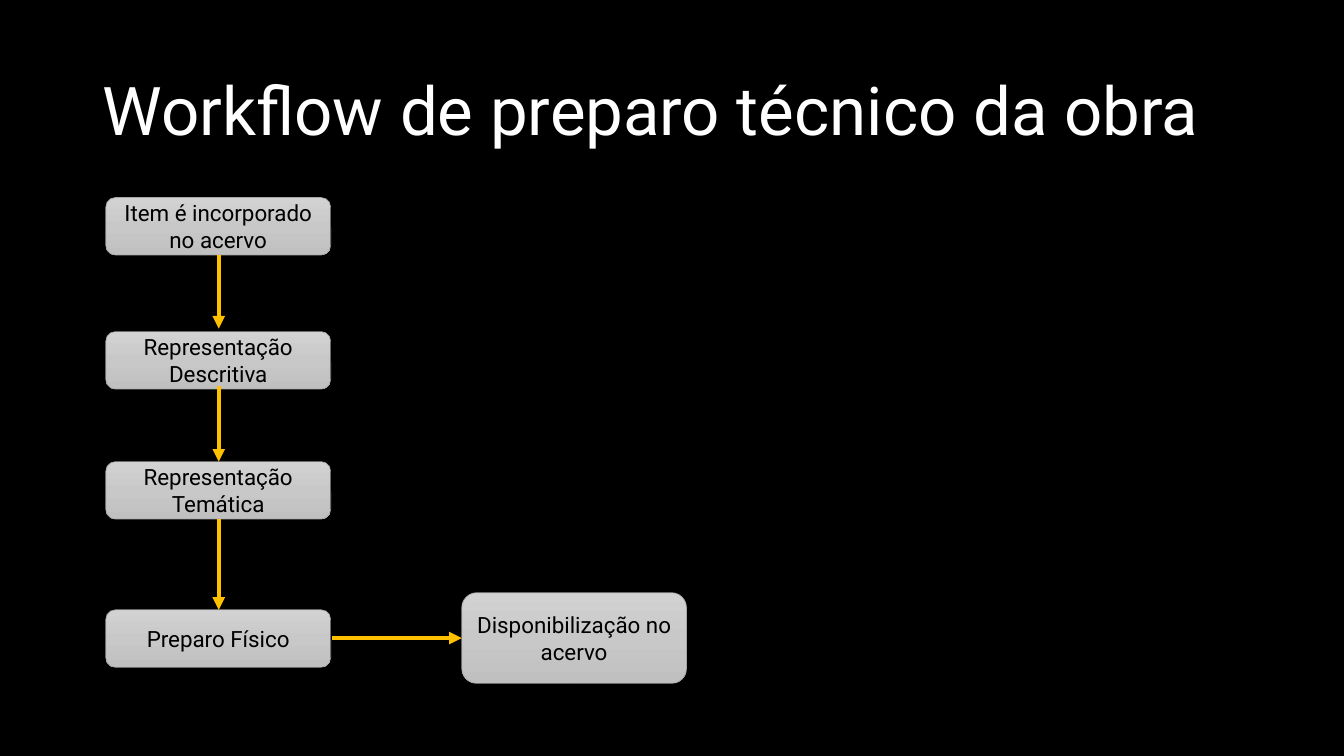
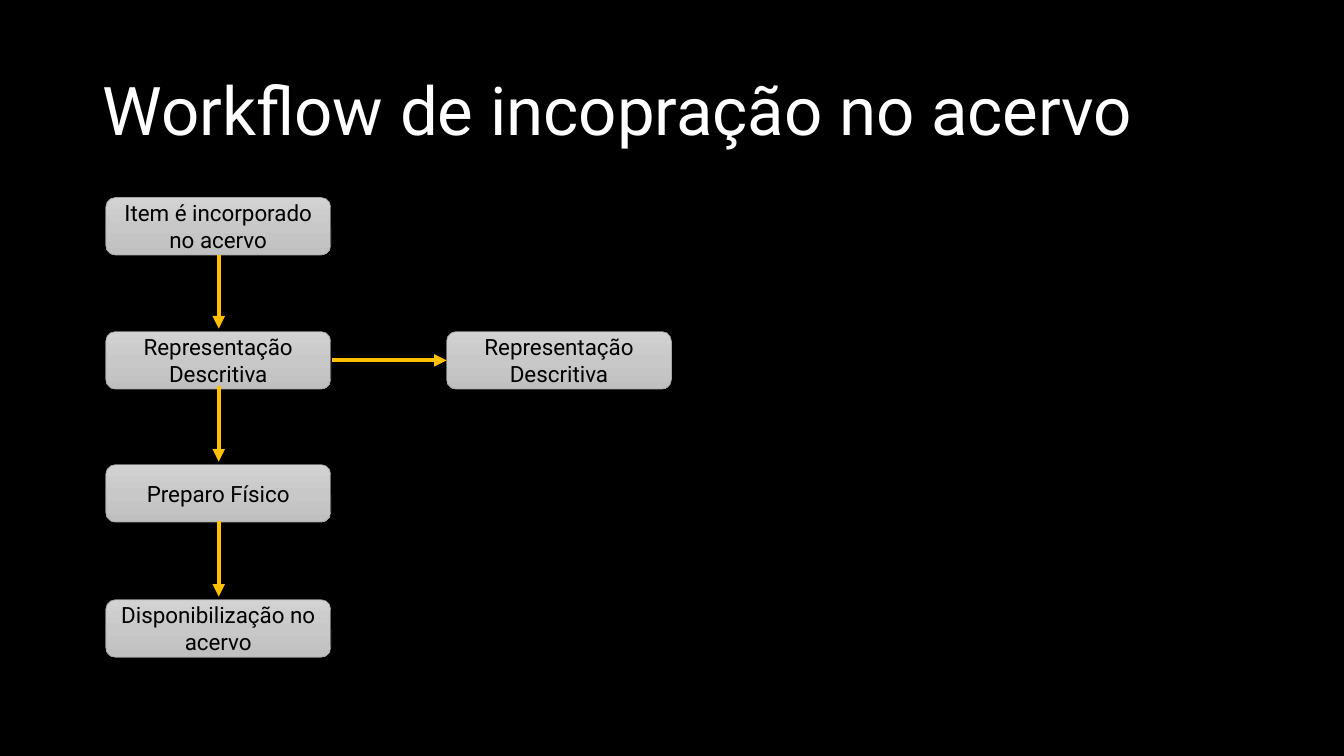
from copy import deepcopy

from pptx import Presentation
from pptx.dml.color import RGBColor
from pptx.enum.shapes import MSO_CONNECTOR, MSO_SHAPE
from pptx.enum.text import MSO_ANCHOR, MSO_AUTO_SIZE, PP_ALIGN
from pptx.oxml.ns import qn
from pptx.oxml.xmlchemy import OxmlElement
from pptx.util import Inches, Pt

ROUNDED = MSO_SHAPE.ROUNDED_RECTANGLE
STRAIGHT = MSO_CONNECTOR.STRAIGHT
MIDDLE = MSO_ANCHOR.MIDDLE
NO_AUTOFIT = MSO_AUTO_SIZE.NONE
LEFT = PP_ALIGN.LEFT
CENTER = PP_ALIGN.CENTER

FONT = "Roboto"
BLACK = "000000"
WHITE = "FFFFFF"
ARROW_COLOR = "FFC000"
BOX_LINE = "A5A5A5"
BOX_TOP, BOX_MIDDLE, BOX_BOTTOM = "D2D2D2", "C8C8C8", "C0C0C0"

COLUMN_LEFT = 1.05
BOX_WIDTH = 2.23
BOX_HEIGHT = 0.57
COLUMN_CENTER = 2.17
COLUMN_RIGHT = 3.29


def color(hex_value):
    return RGBColor.from_string(hex_value)


def write(text_frame, text, size, hex_value, alignment):
    text_frame.word_wrap = True
    text_frame.auto_size = NO_AUTOFIT
    text_frame.vertical_anchor = MIDDLE
    paragraph = text_frame.paragraphs[0]
    paragraph.alignment = alignment
    run = paragraph.add_run()
    run.text = text
    run.font.name = FONT
    run.font.size = Pt(size)
    run.font.color.rgb = color(hex_value)
    return paragraph


workflows = [
    {
        "title": "Workflow de preparo técnico da obra",
        "column": [
            ("Item é incorporado no acervo", 1.96),
            ("Representação Descritiva", 3.29),
            ("Representação Temática", 4.58),
            ("Preparo Físico", 6.05),
        ],
        "column_arrows": [(2.53, 3.26), (3.83, 4.58), (5.15, 6.05)],
        "branch": ("Disponibilização no acervo", 4.58, 5.88, 0.9),
    },
    {
        "title": "Workflow de incopração no acervo",
        "column": [
            ("Item é incorporado no acervo", 1.96),
            ("Representação Descritiva", 3.29),
            ("Preparo Físico", 4.61),
            ("Disponibilização no acervo", 5.95),
        ],
        "column_arrows": [(2.53, 3.26), (3.83, 4.58), (5.17, 5.92)],
        "branch": ("Representação Descritiva", 4.43, 3.29, BOX_HEIGHT),
    },
]

presentation = Presentation()
presentation.slide_width = Inches(13.33)
presentation.slide_height = Inches(7.5)

layout = presentation.slide_layouts.get_by_name("Title Only")
layout.background.fill.solid()
layout.background.fill.fore_color.rgb = color(BLACK)
layout_title = layout.placeholders[0]
layout_title.left, layout_title.top = Inches(0.92), Inches(0.64)
layout_title.width, layout_title.height = Inches(11.5), Inches(0.97)

for workflow in workflows:
    slide = presentation.slides.add_slide(layout)
    title = write(slide.shapes.title.text_frame, workflow["title"], 48, WHITE, LEFT)
    title.line_spacing = 0.9

    branch_text, branch_left, branch_top, branch_height = workflow["branch"]
    boxes = [(text, COLUMN_LEFT, top, BOX_HEIGHT) for text, top in workflow["column"]]
    boxes.append(workflow["branch"])
    for text, left, top, height in boxes:
        box = slide.shapes.add_shape(
            ROUNDED, Inches(left), Inches(top), Inches(BOX_WIDTH), Inches(height)
        )
        box.shadow.inherit = False
        box.fill.gradient()
        box.fill.gradient_angle = 270
        stop_list = box._element.spPr.find(qn("a:gradFill")).find(qn("a:gsLst"))
        middle_stop = deepcopy(stop_list[0])
        middle_stop.set("pos", "50000")
        stop_list.insert(1, middle_stop)
        for stop, hex_value in zip(box.fill.gradient_stops, (BOX_TOP, BOX_MIDDLE, BOX_BOTTOM)):
            stop.color.rgb = color(hex_value)
        box.line.color.rgb = color(BOX_LINE)
        box.line.width = Pt(0.5)
        write(box.text_frame, text, 16, BLACK, CENTER)

    arrows = [
        (COLUMN_CENTER, start, COLUMN_CENTER, end)
        for start, end in workflow["column_arrows"]
    ]
    branch_middle = branch_top + branch_height / 2
    arrows.append((COLUMN_RIGHT, branch_middle, branch_left, branch_middle))
    for ends in arrows:
        arrow = slide.shapes.add_connector(STRAIGHT, *[Inches(value) for value in ends])
        arrow.line.color.rgb = color(ARROW_COLOR)
        arrow.line.width = Pt(3)
        properties = arrow._element.spPr
        arrowhead = OxmlElement("a:tailEnd")
        arrowhead.set("type", "triangle")
        properties.find(qn("a:ln")).append(arrowhead)
        properties.append(OxmlElement("a:effectLst"))

presentation.save("out.pptx")
